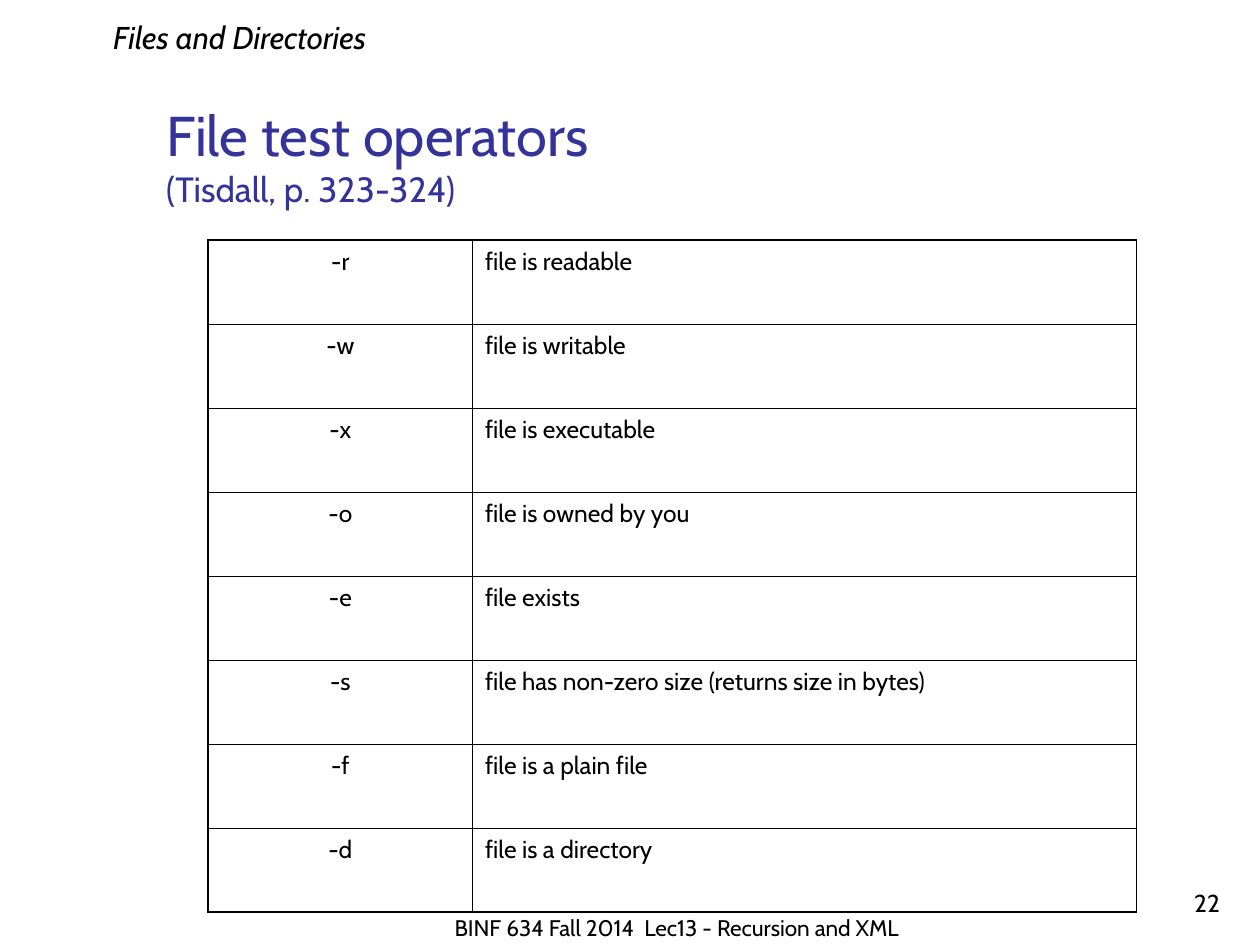
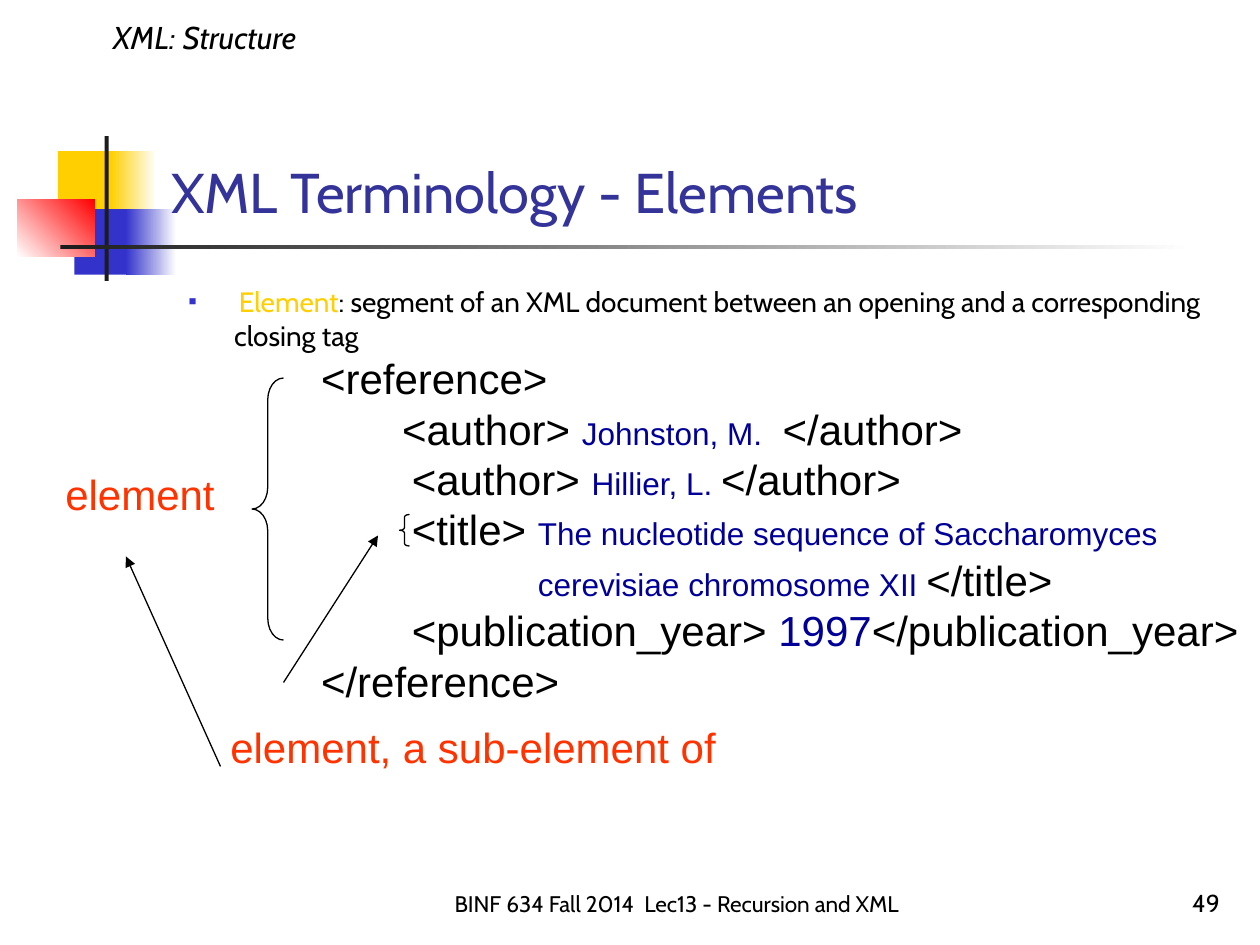
from typing import NamedTuple

from lxml import etree
from pptx import Presentation
from pptx.dml.color import RGBColor
from pptx.enum.shapes import MSO_CONNECTOR, MSO_SHAPE
from pptx.enum.text import MSO_ANCHOR, PP_ALIGN
from pptx.oxml.ns import qn
from pptx.util import Emu, Pt

PX = 3048  # 300 px to the inch
LEFT, CENTER, RIGHT = PP_ALIGN.LEFT, PP_ALIGN.CENTER, PP_ALIGN.RIGHT
TOP, BOTTOM = MSO_ANCHOR.TOP, MSO_ANCHOR.BOTTOM
RECTANGLE, LEFT_BRACE = MSO_SHAPE.RECTANGLE, MSO_SHAPE.LEFT_BRACE
STRAIGHT = MSO_CONNECTOR.STRAIGHT

COLORS = {
    "black": "000000", "white": "FFFFFF", "title": "333399", "yellow": "FFCF01",
    "blue": "3333CC", "red": "FF0000", "bar": "1C1C1C", "value": "000099",
    "callout": "FF3300",
}
FOOTER = "BINF 634 Fall 2014  Lec13 - Recursion and XML"
BREAK = "\n"


class Box(NamedTuple):
    left: int
    top: int
    width: int
    height: int


class Run(NamedTuple):
    text: str
    size: float
    color: str = "black"
    font: str = "Cabin"
    italic: bool = False


class Line(NamedTuple):
    runs: list[Run]
    margin: int = 0
    indent: int = 0
    bullet: str = ""


class Block(NamedTuple):
    box: Box
    color: str
    fade_to: str = ""
    angle: int = 0


class Brace(NamedTuple):
    box: Box
    curve: float


class Arrow(NamedTuple):
    start: tuple[int, int]
    end: tuple[int, int]


def px(value: int) -> Emu:
    return Emu(value * PX)


def rgb(name: str) -> RGBColor:
    return RGBColor.from_string(COLORS[name])


def apply(target, values: dict) -> None:
    for name, value in values.items():
        setattr(target, name, value)


# Text
def add_runs(paragraph, runs: list[Run]) -> None:
    for item in runs:
        if item.text == BREAK:
            paragraph.add_line_break()
            continue
        run = paragraph.add_run()
        run.text = item.text
        apply(run.font, {"size": Pt(item.size), "name": item.font, "italic": item.italic})
        run.font.color.rgb = rgb(item.color)


def format_line(paragraph, line: Line) -> None:
    properties = paragraph._p.get_or_add_pPr()
    properties.set("marL", str(px(line.margin)))
    properties.set("indent", str(px(line.indent)))
    if line.bullet:
        color = etree.SubElement(properties, qn("a:buClr"))
        etree.SubElement(color, qn("a:srgbClr"), val=COLORS["blue"])
        etree.SubElement(properties, qn("a:buSzPct"), val="60000")
        etree.SubElement(properties, qn("a:buFont"), typeface="Arial")
        etree.SubElement(properties, qn("a:buChar"), char=line.bullet)


def add_text(slide, box: Box, lines: list[Line], align=LEFT, anchor=TOP) -> None:
    frame = slide.shapes.add_textbox(*map(px, box)).text_frame
    apply(frame, {"word_wrap": True, "vertical_anchor": anchor})
    for index, line in enumerate(lines):
        paragraph = frame.add_paragraph() if index else frame.paragraphs[0]
        paragraph.alignment = align
        format_line(paragraph, line)
        add_runs(paragraph, line.runs)


# Shapes
def add_block(slide, block: Block) -> None:
    shape = slide.shapes.add_shape(RECTANGLE, *map(px, block.box))
    shape.shadow.inherit = False
    shape.line.fill.background()
    if block.fade_to:
        shape.fill.gradient()
        shape.fill.gradient_angle = block.angle
        for stop, color in zip(shape.fill.gradient_stops, (block.color, block.fade_to)):
            stop.color.rgb = rgb(color)
    else:
        shape.fill.solid()
        shape.fill.fore_color.rgb = rgb(block.color)


def style_line(line) -> None:
    line.color.rgb = rgb("black")
    line.width = Pt(0.75)


def add_brace(slide, brace: Brace) -> None:
    shape = slide.shapes.add_shape(LEFT_BRACE, *map(px, brace.box))
    shape.shadow.inherit = False
    shape.adjustments[0] = brace.curve
    shape.fill.background()
    style_line(shape.line)


def add_arrow(slide, arrow: Arrow) -> None:
    connector = slide.shapes.add_connector(STRAIGHT, *map(px, arrow.start + arrow.end))
    style_line(connector.line)
    etree.SubElement(connector.line._get_or_add_ln(), qn("a:tailEnd"), type="triangle")
    etree.SubElement(connector._element.spPr, qn("a:effectLst"))


# Table
def set_borders(cell, widths: dict[str, float]) -> None:
    properties = cell._tc.get_or_add_tcPr()
    for side, width in widths.items():
        line = etree.SubElement(properties, qn(f"a:ln{side}"), w=str(Pt(width)))
        fill = etree.SubElement(line, qn("a:solidFill"))
        etree.SubElement(fill, qn("a:srgbClr"), val=COLORS["black"])


def add_operator_table(slide, left: int, top: int, columns: list[int], row_height: int,
                       rows: list[tuple[str, str]]) -> None:
    outer, inner = 1.08, 0.45
    box = Box(left, top, sum(columns), row_height * len(rows))
    table = slide.shapes.add_table(len(rows), len(columns), *map(px, box)).table
    apply(table, {"first_row": False, "horz_banding": False})
    for column, width in zip(table.columns, columns):
        column.width = px(width)
    for row_index, row in enumerate(rows):
        for column_index, text in enumerate(row):
            first_column = column_index == 0
            cell = table.cell(row_index, column_index)
            set_borders(cell, {
                "L": outer if first_column else inner,
                "R": inner if first_column else outer,
                "T": inner if row_index else outer,
                "B": outer if row_index == len(rows) - 1 else inner,
            })
            cell.fill.solid()
            cell.fill.fore_color.rgb = rgb("white")
            paragraph = cell.text_frame.paragraphs[0]
            paragraph.alignment = CENTER if first_column else LEFT
            add_runs(paragraph, [Run(text, 14)])


# Parts shared by the slides
def add_frame(slide, topic: str, number: int, footer_top: int) -> None:
    add_text(slide, Box(240, 27, 828, 120), [Line([Run(topic, 18, italic=True)])])
    add_text(slide, Box(2310, 2049, 624, 150), [Line([Run(str(number), 14)])], RIGHT, BOTTOM)
    add_text(slide, Box(951, footer_top, 1320, 150), [Line([Run(FOOTER, 12.9)])],
             CENTER, BOTTOM)


def add_title(slide, box: Box, title: str, reference: str = "") -> None:
    runs = [Run(title, 32, "title")]
    if reference:
        runs += [Run(BREAK, 20), Run(reference, 20, "title")]
    add_text(slide, box, [Line(runs)], anchor=BOTTOM)


# Slide content
OPERATORS = [
    ("-r", "file is readable"),
    ("-w", "file is writable"),
    ("-x", "file is executable"),
    ("-o", "file is owned by you"),
    ("-e", "file exists"),
    ("-s", "file has non-zero size (returns size in bytes)"),
    ("-f", "file is a plain file"),
    ("-d", "file is a directory"),
]
ORNAMENT = [
    Block(Box(138, 360, 144, 156), "yellow"),
    Block(Box(264, 360, 108, 156), "yellow", "white"),
    Block(Box(177, 498, 138, 156), "blue"),
    Block(Box(300, 498, 120, 156), "blue", "white"),
    Block(Box(42, 474, 183, 138), "white", "red", 45),
    Block(Box(249, 324, 10, 345), "bar"),
    Block(Box(144, 584, 2700, 10), "bar", "white"),
]
BRACES = [Brace(Box(600, 900, 75, 624), 0.69), Brace(Box(951, 1225, 24, 75), 0.25)]
ARROWS = [Arrow((675, 1625), (900, 1275)), Arrow((525, 1825), (300, 1325))]


def tag(text: str) -> Run:
    return Run(text, 24, font="Arial")


def value(text: str, size: int = 18) -> Run:
    return Run(text, size, "value", "Arial")


XML_LINES = [
    Line([tag("<reference>")], 84),
    Line([tag("<author> "), value("Johnston, M. "), tag(" </author>")], 277),
    Line([tag("<author> "), value("Hillier, L. "), tag("</author>")], 300),
    Line([tag("<title> "), value("The nucleotide sequence of Saccharomyces"), value(BREAK),
          value("cerevisiae chromosome XII "), tag("</title>")], 600, -300),
    Line([tag("<publication_year> "), value("1997", 24), tag("</publication_year>")], 300),
    Line([tag("</reference>")], 84),
]
DEFINITION = Line([
    Run(" ", 12),
    Run("Element", 16, "yellow"),
    Run(": segment of an XML document between an opening and a corresponding closing tag", 16),
], 141, -108, "■")


def build_operators_slide(slide) -> None:
    add_title(slide, Box(366, 180, 2556, 333), "File test operators", "(Tisdall, p. 323-324)")
    add_operator_table(slide, 496, 572, [629, 1581], 200, OPERATORS)
    add_frame(slide, "Files and Directories", 22, 2106)


def build_elements_slide(slide) -> None:
    for block in ORNAMENT:
        add_block(slide, block)
    add_title(slide, Box(378, 69, 2556, 480), "XML Terminology - Elements")
    add_text(slide, Box(387, 663, 2550, 1350), [DEFINITION])
    add_text(slide, Box(651, 825, 2349, 870), XML_LINES)
    for brace in BRACES:
        add_brace(slide, brace)
    for arrow in ARROWS:
        add_arrow(slide, arrow)
    for box, text in ((Box(126, 1101, 450, 150), "element"),
                      (Box(519, 1704, 1329, 150), "element, a sub-element of")):
        add_text(slide, box, [Line([Run(text, 24, "callout", "Arial")])])
    add_frame(slide, "XML: Structure", 49, 2049)


def main() -> None:
    presentation = Presentation()
    apply(presentation, {"slide_width": px(3000), "slide_height": px(2250)})
    blank = presentation.slide_layouts[6]
    for build in (build_operators_slide, build_elements_slide):
        build(presentation.slides.add_slide(blank))
    presentation.save("out.pptx")


if __name__ == "__main__":
    main()
